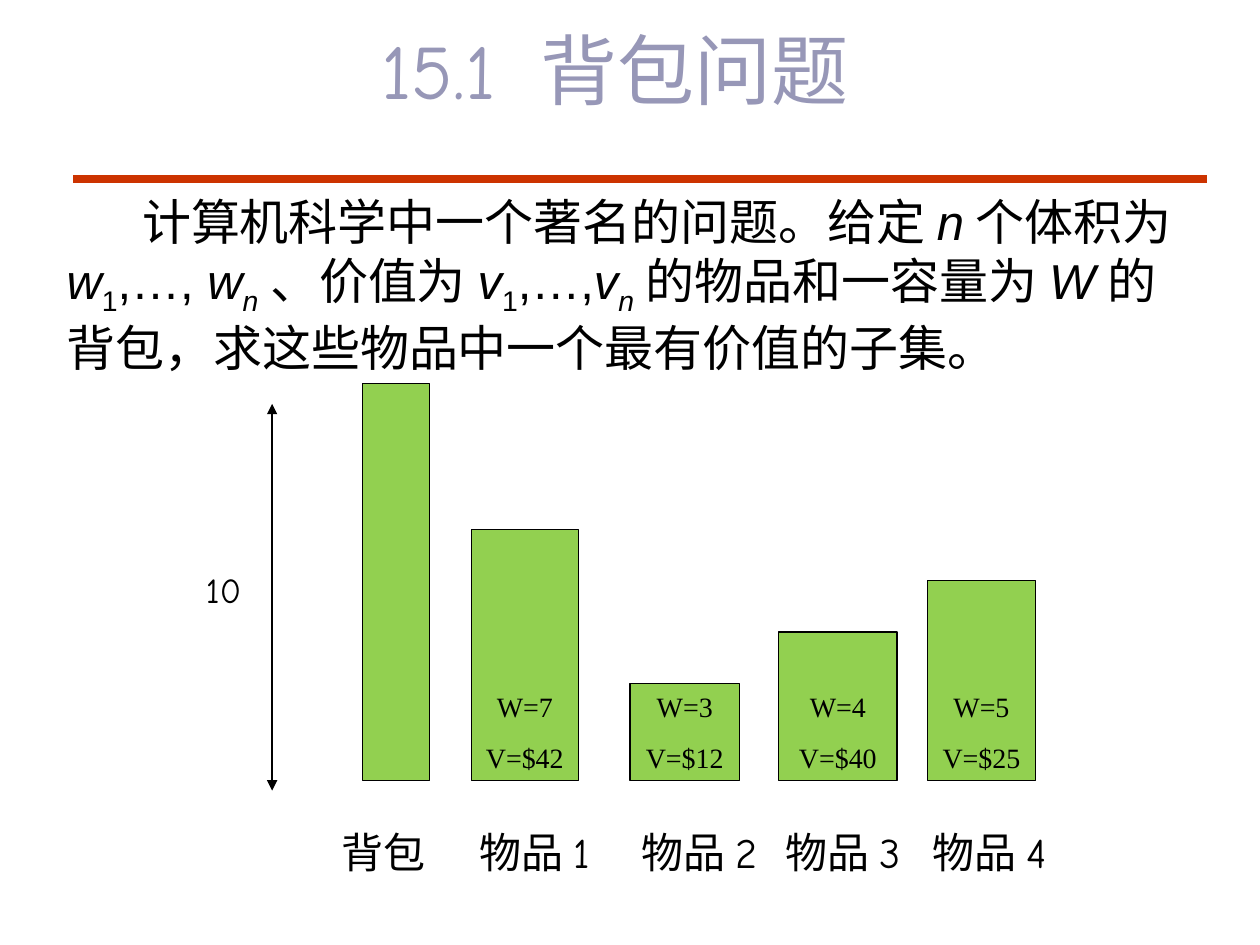
from collections import namedtuple
from lxml.etree import SubElement
from pptx import Presentation
from pptx.dml.color import RGBColor
from pptx.enum.shapes import MSO_CONNECTOR, MSO_SHAPE
from pptx.enum.text import MSO_ANCHOR, PP_ALIGN
from pptx.oxml.ns import qn
from pptx.util import Inches, Pt

COLS, ROWS = 100, 75  # slide grid
WIDE, HIGH = Inches(10), Inches(7.5)
INK, GREEN, RED, MAUVE = "000000", "92D050", "CC3300", "9797B7"
COMIC, ROMAN, SANS = "Comic Neue", "Times New Roman", "Arial"

Box = namedtuple("Box", "x y w h")
Bar = namedtuple("Bar", "x w rows lines name namex namew")

# x values count from the left of the chart; rows are the bar heights
BARS = [
    Bar(14.2, 5.3, 31.5, [], "背包", 11.2, 9.2),
    Bar(22.8, 8.5, 19.9, ["W=7", "V=$42"], "物品1", 22, 11.7),
    Bar(35.4, 8.7, 7.7, ["W=3", "V=$12"], "物品2", 34.6, 12.6),
    Bar(47.2, 9.4, 11.8, ["W=4", "V=$40"], "物品3", 46.4, 11.8),
    Bar(59, 8.6, 15.9, ["W=5", "V=$25"], "物品4", 57.5, 12.9),
]

# style: "" upright, "i" italic, "_" lowered
TASK = [
    ("计算机科学中一个著名的问题。给定", ""), ("n", "i"), ("个体积为", ""),
    ("w", "i"), ("1", "_"), (",…, ", ""), ("w", "i"), ("n", "i_"),
    ("、价值为", ""), ("v", "i"), ("1", "_"), (",…,", ""), ("v", "i"),
    ("n", "i_"), ("的物品和一容量为", ""), ("W", "i"),
    ("的背包，求这些物品中一个最有价值的子集。", ""),
]


def paint(hue):
    return RGBColor.from_string(hue)


def at(x, y):
    """Turn grid columns and rows into slide lengths."""
    return int(WIDE * x / COLS), int(HIGH * y / ROWS)


def span(box):
    return (*at(box.x, box.y), *at(box.w, box.h))


def add_run(para, text, font, size, hue=INK, style=""):
    run = para.add_run()
    run.text = text
    run.font.name, run.font.size = font, Pt(size)
    run.font.color.rgb = paint(hue)
    run.font.italic = "i" in style
    if "_" in style:
        run.font._element.set("baseline", "-25000")


def add_text(slide, box, text, size):
    frame = slide.shapes.add_textbox(*span(box)).text_frame
    frame.word_wrap = True
    para = frame.paragraphs[0]
    para.alignment = PP_ALIGN.CENTER
    add_run(para, text, COMIC, size)


def add_line(slide, start, end, hue, width, heads=False):
    line = slide.shapes.add_connector(
        MSO_CONNECTOR.STRAIGHT, *at(*start), *at(*end))
    line.line.color.rgb, line.line.width = paint(hue), Pt(width)
    if heads:
        for tag in ("a:headEnd", "a:tailEnd"):
            SubElement(line.line._get_or_add_ln(), qn(tag), type="triangle")
    SubElement(line._element.spPr, qn("a:effectLst"))


def add_title(slide, box):
    title = slide.shapes.title
    title.left, title.top, title.width, title.height = span(box)
    frame = title.text_frame
    frame.vertical_anchor = MSO_ANCHOR.MIDDLE
    para = frame.paragraphs[0]
    para.alignment = PP_ALIGN.CENTER
    add_run(para, "15.1 背包问题", COMIC, 44, MAUVE)


def add_task(slide, box):
    frame = slide.shapes.add_textbox(*span(box)).text_frame
    frame.word_wrap = True
    para = frame.paragraphs[0]
    para._p.get_or_add_pPr().set("indent", str(Inches(0.6)))
    for text, style in TASK:
        add_run(para, text, SANS, 28, style=style)


def add_bar(slide, box, lines):
    bar = slide.shapes.add_shape(MSO_SHAPE.RECTANGLE, *span(box))
    bar.shadow.inherit = False
    bar.fill.solid()
    bar.fill.fore_color.rgb = paint(GREEN)
    bar.line.color.rgb, bar.line.width = paint(INK), Pt(0.75)
    frame = bar.text_frame
    frame.word_wrap = True
    frame.vertical_anchor = MSO_ANCHOR.BOTTOM
    for i, text in enumerate(lines):
        para = frame.add_paragraph() if i else frame.paragraphs[0]
        para.alignment = PP_ALIGN.CENTER
        para.space_before = Pt(10 if i else 0)
        add_run(para, text, ROMAN, 16)


def add_chart(slide, box):
    """Draw the height arrow, the bars and the names under them."""
    base = box.y + 31.5
    add_line(slide, (box.x + 7, box.y + 1.6), (box.x + 7, base + 0.8),
             INK, 0.75, heads=True)
    add_text(slide, Box(box.x, box.y + 14.2, 6.3, 4.4), "10", 20)
    for bar in BARS:
        add_bar(slide, Box(box.x + bar.x, base - bar.rows, bar.w, bar.rows),
                bar.lines)
        add_text(slide, Box(box.x + bar.namex, box.y + box.h - 5,
                            bar.namew, 5), bar.name, 24)


def main():
    deck = Presentation()
    deck.slide_width, deck.slide_height = WIDE, HIGH
    slide = deck.slides.add_slide(deck.slide_layouts[5])
    add_line(slide, (5.8, 14.2), (95.8, 14.2), RED, 4.5)
    add_title(slide, Box(5.9, 1.3, 85.8, 8.3))
    add_task(slide, Box(4.3, 14.7, 92.1, 18.9))
    add_chart(slide, Box(14.6, 30.45, 70.4, 39.65))
    deck.save("out.pptx")


if __name__ == "__main__":
    main()
